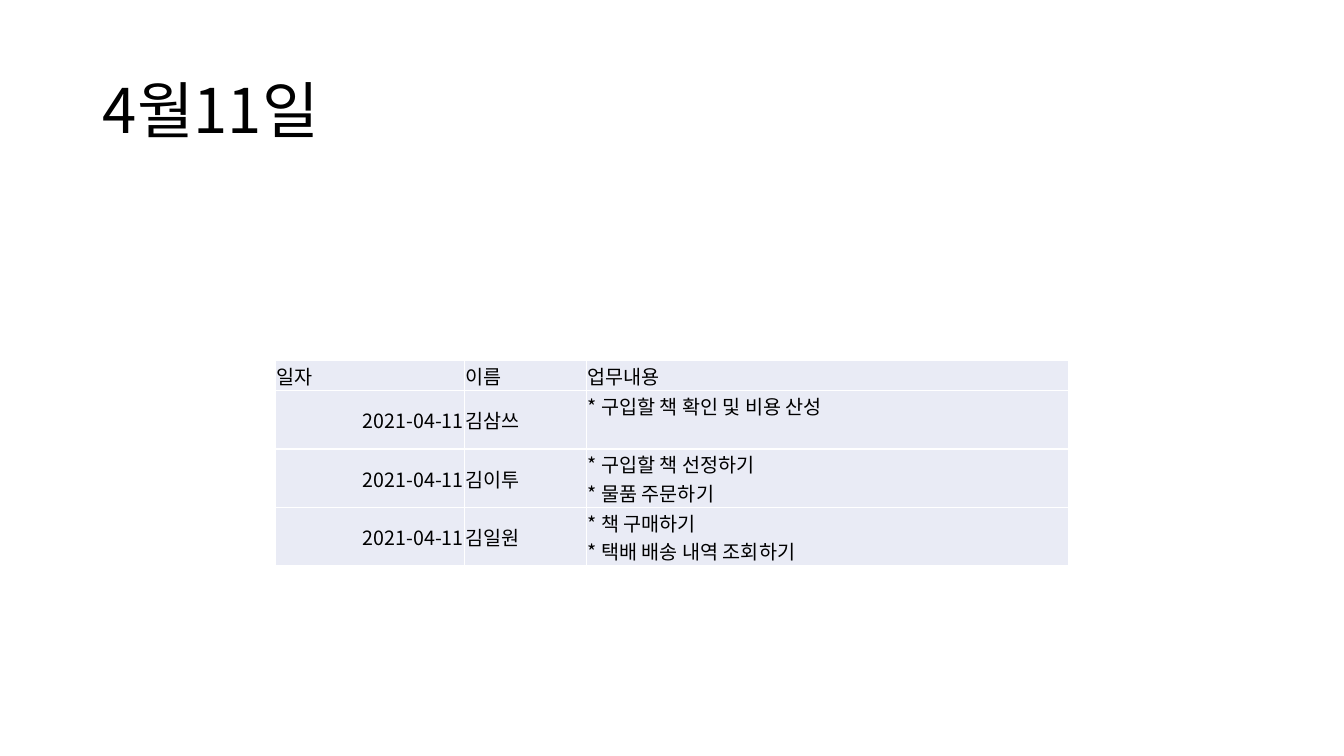
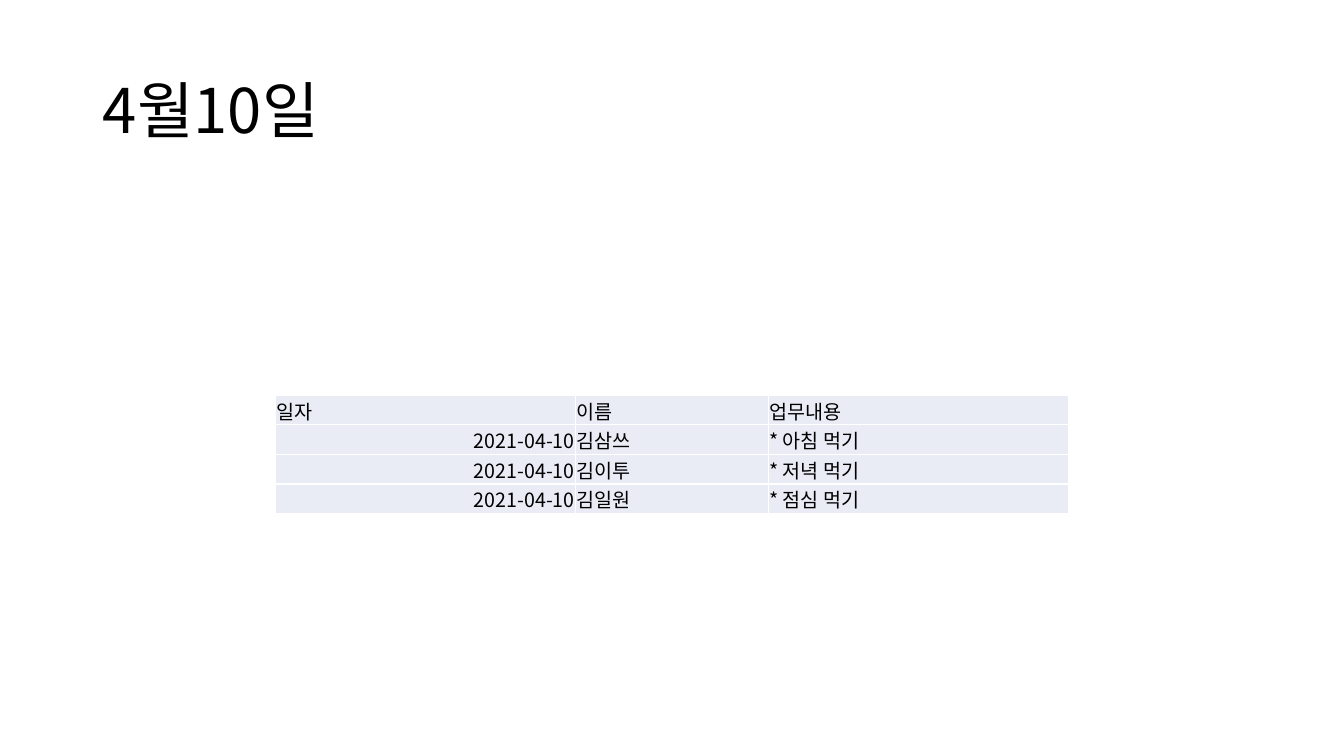
import pptx
import pptx.util
import pptx.dml.color
import pptx.enum.text
import pptx.oxml
import pptx.oxml.ns
from lxml import etree

Inches = pptx.util.Inches
Pt = pptx.util.Pt
PP_ALIGN = pptx.enum.text.PP_ALIGN
MSO_ANCHOR = pptx.enum.text.MSO_ANCHOR
qn = pptx.oxml.ns.qn

# Content
HEADINGS = ("일자", "이름", "업무내용")
DAYS = [
    {
        "title": "4월11일", "date": "2021-04-11", "top": 3.58,
        "columns": (1.88, 1.21, 4.78), "lines_per_row": 2,
        "work": [
            ("김삼쓰", ["* 구입할 책 확인 및 비용 산성"]),
            ("김이투", ["* 구입할 책 선정하기", "* 물품 주문하기"]),
            ("김일원", ["* 책 구매하기", "* 택배 배송 내역 조회하기"]),
        ],
    },
    {
        "title": "4월10일", "date": "2021-04-10", "top": 3.92,
        "columns": (2.98, 1.91, 2.98), "lines_per_row": 1,
        "work": [
            ("김삼쓰", ["* 아침 먹기"]),
            ("김이투", ["* 저녁 먹기"]),
            ("김일원", ["* 점심 먹기"]),
        ],
    },
]

# Shared style
COLORS = {"text": "000000", "cell": "E9EBF5", "border": "FFFFFF"}
FONT = "Noto Sans CJK KR"
TITLE_BOX = (0.92, 0.4, 11.5, 1.45)
TABLE_LEFT = 2.73
HEADER_HEIGHT, LINE_HEIGHT = 0.28, 0.29


def rgb(name):
    return pptx.dml.color.RGBColor.from_string(COLORS[name])


def add_run(paragraph, text, size):
    run = paragraph.add_run()
    run.text = text
    run.font.size = Pt(size)
    run.font.name = FONT
    run.font.color.rgb = rgb("text")
    latin = run.font._element.find(qn("a:latin"))
    east_asian = etree.Element(qn("a:ea"), typeface=FONT)
    latin.addnext(east_asian)


def add_borders(cell):
    properties = cell._tc.get_or_add_tcPr()
    for index, side in enumerate(("lnL", "lnR", "lnT", "lnB")):
        line = etree.Element(qn("a:" + side), w=str(Pt(1)))
        fill = etree.SubElement(line, qn("a:solidFill"))
        etree.SubElement(fill, qn("a:srgbClr"), val=COLORS["border"])
        properties.insert(index, line)


def fill_cell(cell, lines, align=PP_ALIGN.LEFT, anchor=MSO_ANCHOR.MIDDLE):
    cell.margin_left = cell.margin_right = cell.margin_top = Inches(0.01)
    cell.margin_bottom = 0
    cell.vertical_anchor = anchor
    cell.fill.solid()
    cell.fill.fore_color.rgb = rgb("cell")
    add_borders(cell)
    paragraph = cell.text_frame.paragraphs[0]
    paragraph.alignment = align
    for index, line in enumerate(lines):
        if index:
            paragraph.add_line_break()
        add_run(paragraph, line, 14)


def add_title(slide, text):
    title = slide.shapes.title
    title.left, title.top, title.width, title.height = map(Inches, TITLE_BOX)
    frame = title.text_frame
    frame.vertical_anchor = MSO_ANCHOR.MIDDLE
    paragraph = frame.paragraphs[0]
    paragraph.alignment = PP_ALIGN.LEFT
    paragraph.line_spacing = 0.9
    add_run(paragraph, text, 44)


def add_work_table(slide, day):
    row_height = LINE_HEIGHT * day["lines_per_row"]
    heights = [HEADER_HEIGHT] + [row_height] * len(day["work"])
    table = slide.shapes.add_table(
        len(heights), len(HEADINGS), Inches(TABLE_LEFT), Inches(day["top"]),
        Inches(sum(day["columns"])), Inches(sum(heights))).table
    table.first_row = table.horz_banding = False
    for column, width in zip(table.columns, day["columns"]):
        column.width = Inches(width)
    for row, height in zip(table.rows, heights):
        row.height = Inches(height)

    for column, heading in enumerate(HEADINGS):
        fill_cell(table.cell(0, column), [heading])
    for row, (person, tasks) in enumerate(day["work"], start=1):
        fill_cell(table.cell(row, 0), [day["date"]], align=PP_ALIGN.RIGHT)
        fill_cell(table.cell(row, 1), [person])
        fill_cell(table.cell(row, 2), tasks, anchor=MSO_ANCHOR.TOP)


def main():
    deck = pptx.Presentation()
    deck.slide_width, deck.slide_height = Inches(13.33), Inches(7.5)
    title_only = deck.slide_layouts[5]
    for day in DAYS:
        slide = deck.slides.add_slide(title_only)
        add_title(slide, day["title"])
        add_work_table(slide, day)
    deck.save("out.pptx")


if __name__ == "__main__":
    main()
